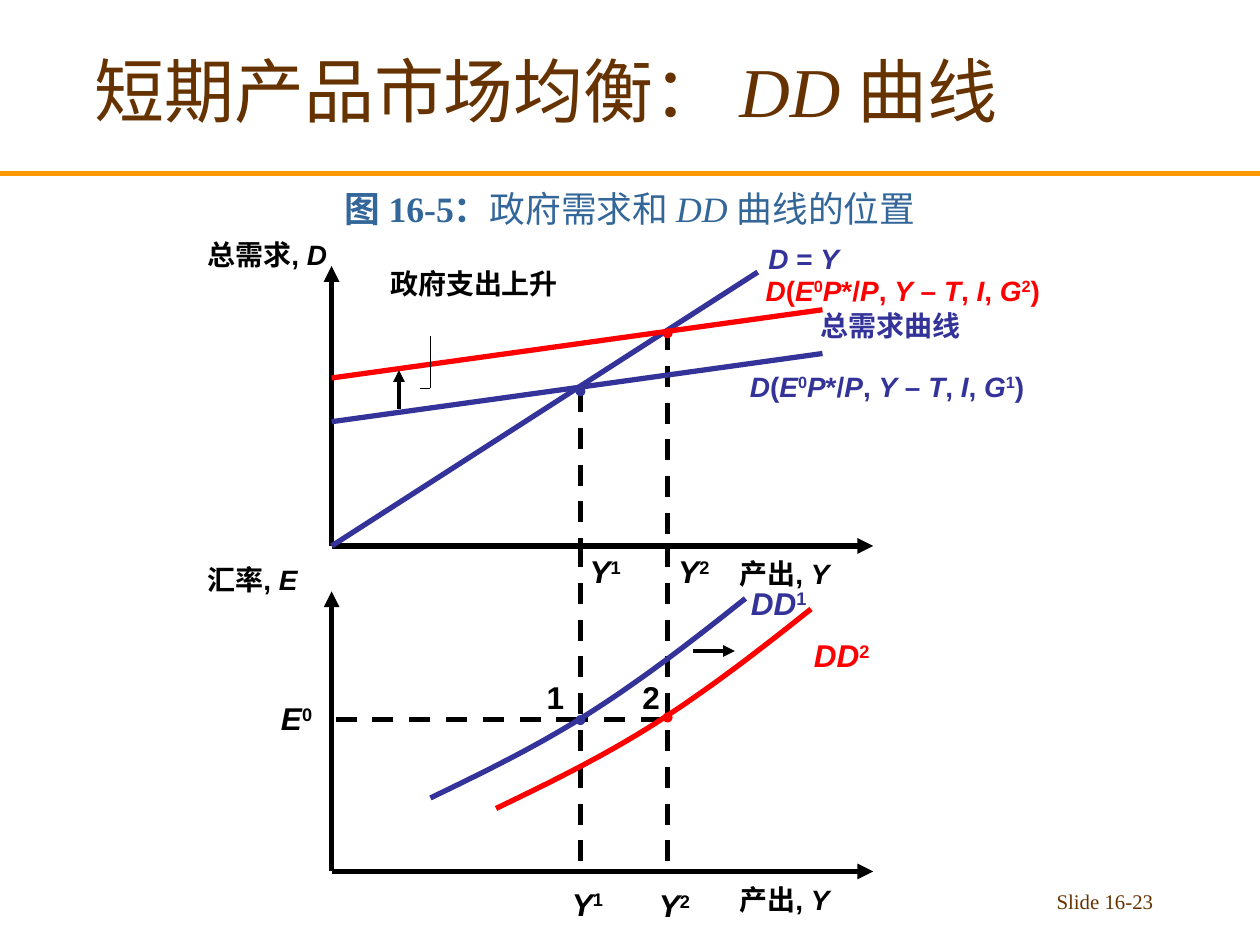
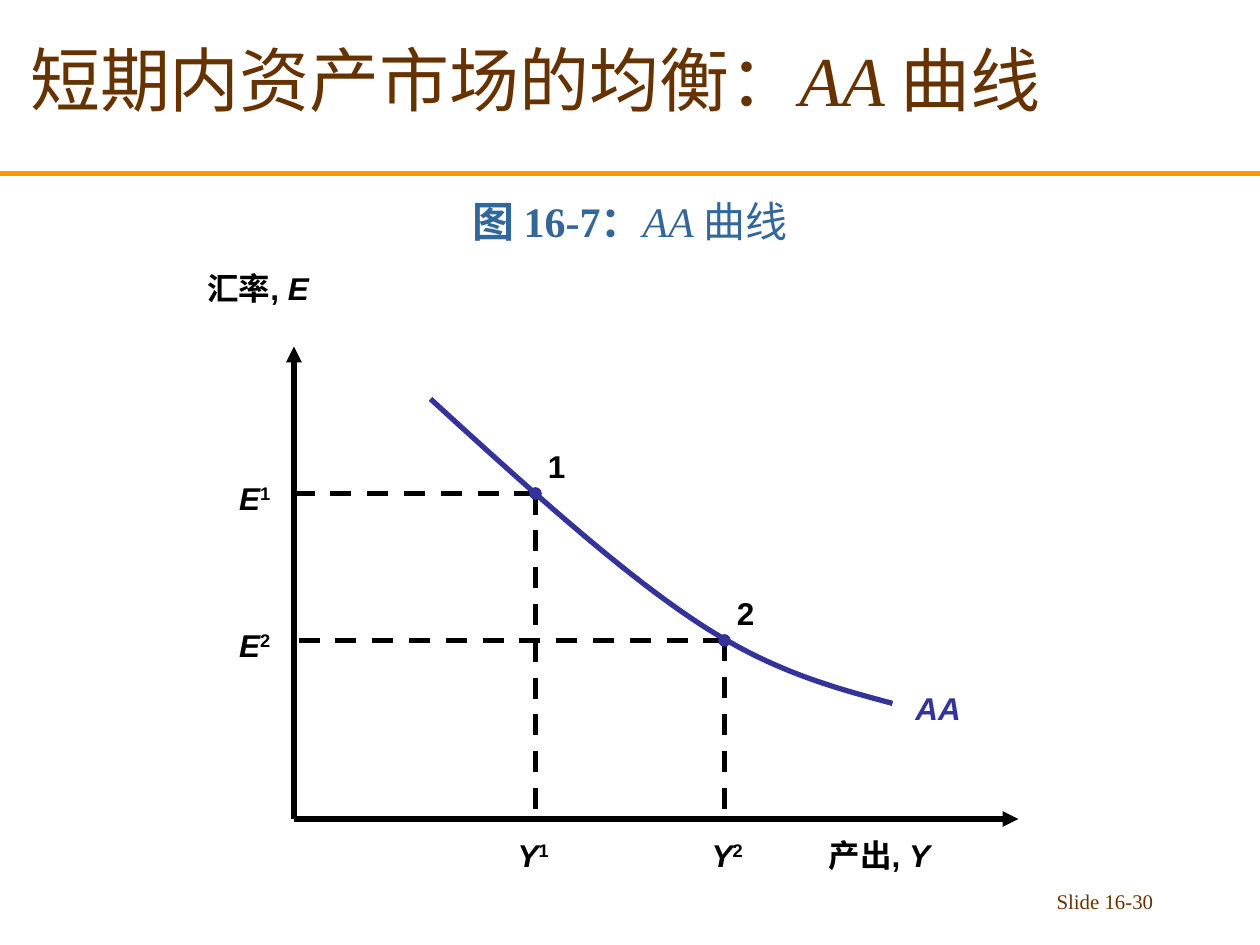
from dataclasses import dataclass

from lxml.etree import SubElement
from pptx import Presentation
from pptx.dml.color import RGBColor
from pptx.enum.dml import MSO_LINE
from pptx.enum.shapes import MSO_CONNECTOR, MSO_SHAPE
from pptx.enum.text import MSO_ANCHOR as Anchor, PP_ALIGN as Align
from pptx.oxml.ns import qn
from pptx.util import Pt


@dataclass(frozen=True)
class Theme:
    brown: str = "663300"
    steel: str = "336699"
    orange: str = "FF9900"
    blue: str = "333399"
    red: str = "FF0000"
    black: str = "000000"
    heading_font: str = "Times New Roman"
    label_font: str = "Arial"
    title_size: float = 40
    footer_size: float = 11.9
    text_size: float = 16
    symbol_size: float = 18
    thick: float = 3
    medium: float = 2.25
    thin: float = 0.75


THEME = Theme()
SLIDE_WIDTH, SLIDE_HEIGHT = 720, 540


def split_markup(markup):
    """Yield (text, italic, bold, raised): _ toggles italic, ~ bold, ^ raises one character."""
    text, italic, bold, raised = "", False, False, False
    for character in markup:
        if character in "_~^" or raised:
            if raised:
                text += character
            if text:
                yield text, italic, bold, raised
            text = ""
            if raised:
                raised = False
            elif character == "_":
                italic = not italic
            elif character == "~":
                bold = not bold
            else:
                raised = True
        else:
            text += character
    if text:
        yield text, italic, bold, raised


def add_text(slide, markup, left, top, width, height, size, color, font_name,
             align=Align.LEFT, anchor=Anchor.TOP, wrap=False):
    box = slide.shapes.add_textbox(Pt(left), Pt(top), Pt(width), Pt(height))
    text_frame = box.text_frame
    text_frame.word_wrap = wrap
    text_frame.vertical_anchor = anchor
    paragraph = text_frame.paragraphs[0]
    paragraph.alignment = align
    for text, italic, bold, raised in split_markup(markup):
        run = paragraph.add_run()
        run.text = text
        font = run.font
        font.name, font.size = font_name, Pt(size)
        font.bold, font.italic = bold, italic
        font.color.rgb = RGBColor.from_string(color)
        if raised:
            font._element.set("baseline", "30000")


def add_label(slide, markup, left, top, width, size=THEME.symbol_size, color=THEME.black):
    add_text(slide, "~" + markup, left, top, width, size * 1.2 + 7.2,
             size, color, THEME.label_font)


def style_line(line, color, weight):
    line.color.rgb = RGBColor.from_string(color)
    line.width = Pt(weight)


def add_line(slide, start, end, color=THEME.black, weight=THEME.thick,
             dashed=False, arrow=False):
    connector = slide.shapes.add_connector(
        MSO_CONNECTOR.STRAIGHT, *(Pt(value) for value in (*start, *end)))
    style_line(connector.line, color, weight)
    if dashed:
        connector.line.dash_style = MSO_LINE.DASH
    properties = connector._element.spPr
    if arrow:
        SubElement(properties.find(qn("a:ln")), qn("a:tailEnd"), type="triangle")
    SubElement(properties, qn("a:effectLst"))


def add_axes(slide, origin, top, right):
    x, y = origin
    add_line(slide, origin, (x, top), arrow=True)
    add_line(slide, origin, (right, y), arrow=True)


def add_dot(slide, center, color, diameter):
    x, y = center
    dot = slide.shapes.add_shape(
        MSO_SHAPE.OVAL, Pt(x - diameter / 2), Pt(y - diameter / 2),
        Pt(diameter), Pt(diameter))
    dot.shadow.inherit = False
    dot.fill.solid()
    dot.fill.fore_color.rgb = RGBColor.from_string(color)
    style_line(dot.line, color, THEME.thin)


def bezier_point(controls, t):
    weights = ((1 - t) ** 3, 3 * t * (1 - t) ** 2, 3 * t * t * (1 - t), t ** 3)
    return tuple(sum(weight * point[axis] for weight, point in zip(weights, controls))
                 for axis in (0, 1))


def add_curve(slide, controls, color, steps=20):
    """Draw joined cubic Bezier pieces; each piece starts where the last one ends."""
    points = [bezier_point(controls[first:first + 4], step / steps)
              for first in range(0, len(controls) - 1, 3)
              for step in range(1, steps + 1)]
    start_x, start_y = controls[0]
    builder = slide.shapes.build_freeform(Pt(start_x), Pt(start_y))
    builder.add_line_segments([(Pt(x), Pt(y)) for x, y in points], close=False)
    curve = builder.convert_to_shape()
    curve.shadow.inherit = False
    curve.fill.background()
    style_line(curve.line, color, THEME.thick)


def add_base_slide(presentation, title, title_offset, caption, caption_size,
                   caption_height, number):
    slide = presentation.slides.add_slide(presentation.slide_layouts[6])
    add_line(slide, (0, 99.2), (SLIDE_WIDTH, 99.2), THEME.orange)
    add_text(slide, title, title_offset, title_offset, 612, 90, THEME.title_size,
             THEME.brown, THEME.heading_font, Align.CENTER, Anchor.MIDDLE)
    add_text(slide, caption, 0, 102, SLIDE_WIDTH, caption_height, caption_size,
             THEME.steel, THEME.heading_font, Align.CENTER, Anchor.BOTTOM, True)
    add_text(slide, f"Slide {number}", 516, 504, 150, 24, THEME.footer_size,
             THEME.brown, THEME.heading_font, Align.RIGHT, wrap=True)
    return slide


def add_dd_slide(presentation):
    slide = add_base_slide(
        presentation, "短期产品市场均衡： _DD _曲线", 6,
        "~图 16-5：~政府需求和 _DD _曲线的位置", 20.4, 33, "16-23")
    axis_x, axis_right = 189.5, 499
    upper_y, lower_y = 312, 498
    output_1, output_2, rate_y = 331.7, 381.5, 411
    size = THEME.text_size

    for output, demand_y in ((output_1, 223.4), (output_2, 188)):
        add_line(slide, (output, demand_y), (output, upper_y), dashed=True)
        add_line(slide, (output, upper_y), (output, lower_y), dashed=True)
    add_line(slide, (324, rate_y), (378, rate_y), dashed=True)
    add_line(slide, (330, rate_y), (192, rate_y), dashed=True)

    for axis_y, name, name_top in ((upper_y, "总需求, _D_", 132),
                                   (lower_y, "汇率, _E_", 318)):
        add_axes(slide, (axis_x, axis_y), axis_y - 160, axis_right)
        add_label(slide, name, 111.5, name_top, 110, size)
        add_label(slide, "产出, _Y_", 415.5, axis_y + 2.5, 90, size)

    add_line(slide, (axis_x, upper_y), (433, 155.5), THEME.blue)
    add_label(slide, "_D_ = _Y_", 432, 134.5, 70, size, THEME.blue)
    for level, color, line_y, left, top in (("2", THEME.red, 216, 430.5, 152.5),
                                            ("1", THEME.blue, 241, 421.5, 207.5)):
        add_line(slide, (axis_x, line_y), (470, line_y - 39), color)
        add_label(slide, f"_D_(_E_^0_P_*/_P_, _Y_ – _T_,_ I_, _G_^{level})",
                  left, top, 200, size, color)
    add_label(slide, "总需求曲线", 462, 173, 110, size, THEME.blue)

    add_label(slide, "政府支出上升", 216, 149, 130, size)
    add_line(slide, (246, 192), (246, 222), weight=THEME.thin)
    add_line(slide, (240, 222), (246, 222), weight=THEME.thin)
    add_line(slide, (228, 233.5), (228, 211.5), weight=THEME.medium, arrow=True)

    dd_curve = [(246, 456), (276, 441.5), (306, 427), (336, 408),
                (366, 389), (396, 366), (426, 342)]
    shifted_curve = [(x + 37.5, y + 6) for x, y in dd_curve]
    add_curve(slide, dd_curve, THEME.blue)
    add_curve(slide, shifted_curve, THEME.red)
    add_line(slide, (396, 372), (420, 372), weight=THEME.medium, arrow=True)
    add_label(slide, "_DD_^1", 422, 330, 60, color=THEME.blue)
    add_label(slide, "_DD_^2", 458, 360, 60, color=THEME.red)

    add_label(slide, "_E_^0", 153.5, 396, 36)
    for index, upper_left, lower_left, lower_top, point_left in (
            (1, 329.8, 319.7, 502, 305.3), (2, 380.5, 369.4, 503, 360)):
        add_label(slide, f"_Y_^{index}", upper_left, 312, 36)
        add_label(slide, f"_Y_^{index}", lower_left, lower_top, 36)
        add_label(slide, str(index), point_left, 384, 26)
    for center, color in (((output_1, 223.6), THEME.blue), ((output_1, 411.5), THEME.blue),
                          ((output_2, 190.5), THEME.red), ((output_2, 410), THEME.red)):
        add_dot(slide, center, color, 5)


def add_aa_slide(presentation):
    slide = add_base_slide(
        presentation, "短期内资产市场的均衡：_AA _曲线", 0,
        "~图 16-7：~_AA _曲线", 24, 42, "16-30")
    axis_x, axis_y = 168, 468
    points = ((1, 306, 282, 288.7), (2, 414, 366, 399.6))

    for _, x, y, _ in points:
        add_line(slide, (x, y), (axis_x, y), dashed=True)
        add_line(slide, (x, y), (x, axis_y), dashed=True)
    add_axes(slide, (axis_x, axis_y), 198, 582)
    add_label(slide, "汇率, _E_", 111.5, 150, 100)
    add_label(slide, "产出, _Y_", 466.5, 474, 100)

    add_curve(slide, [(246, 228), (299, 276.5), (352, 324.5), (396, 354),
                      (440, 383.5), (475, 392.5), (510, 402)], THEME.blue)
    add_label(slide, "_AA_", 516, 390, 50, color=THEME.blue)
    for index, x, y, output_left in points:
        add_dot(slide, (x, y), THEME.blue, 6.5)
        add_label(slide, str(index), x, y - 30, 26)
        add_label(slide, f"_E_^{index}", 129.6, y - 12, 36)
        add_label(slide, f"_Y_^{index}", output_left, 474, 36)


def main():
    presentation = Presentation()
    presentation.slide_width = Pt(SLIDE_WIDTH)
    presentation.slide_height = Pt(SLIDE_HEIGHT)
    add_dd_slide(presentation)
    add_aa_slide(presentation)
    presentation.save("out.pptx")


if __name__ == "__main__":
    main()
